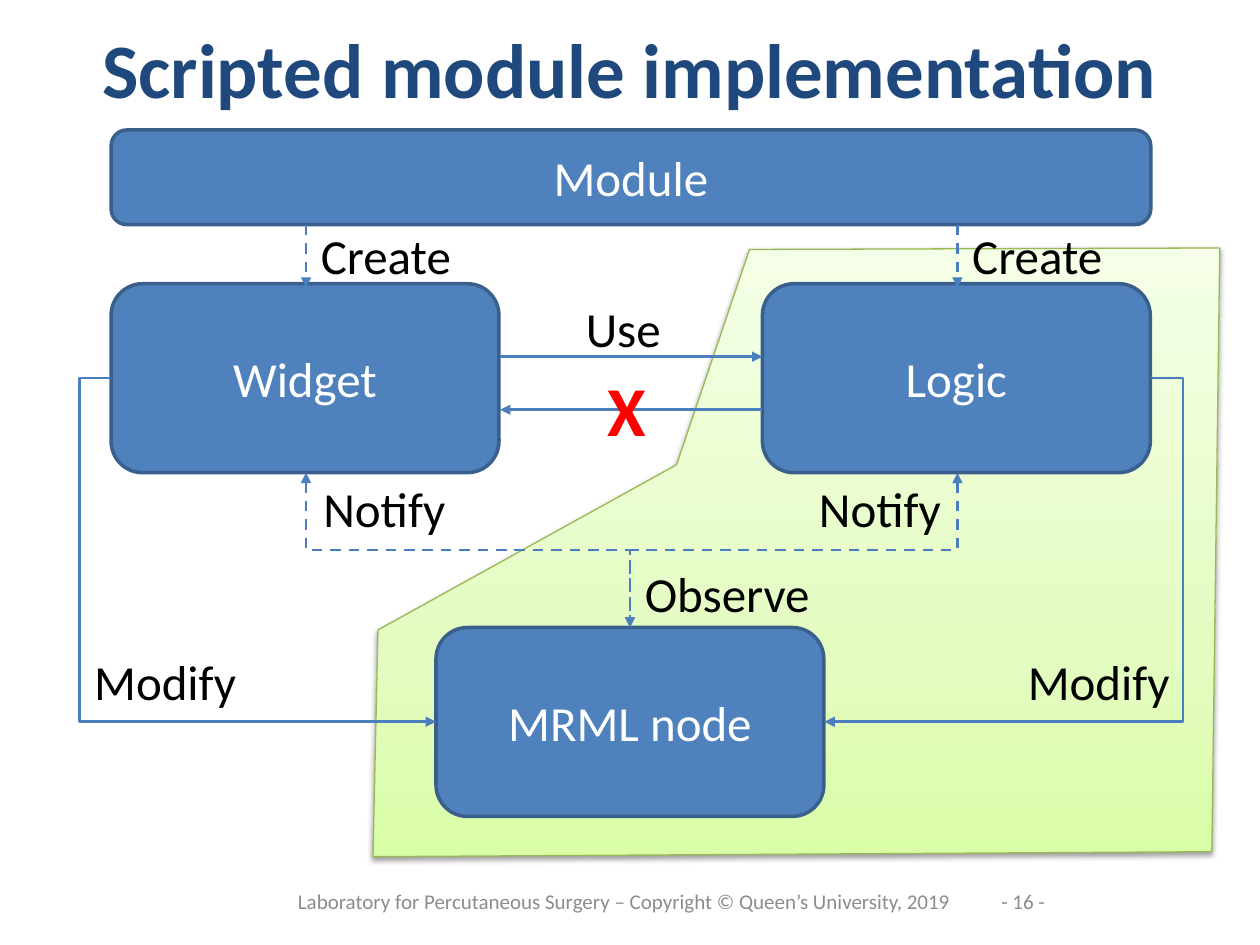
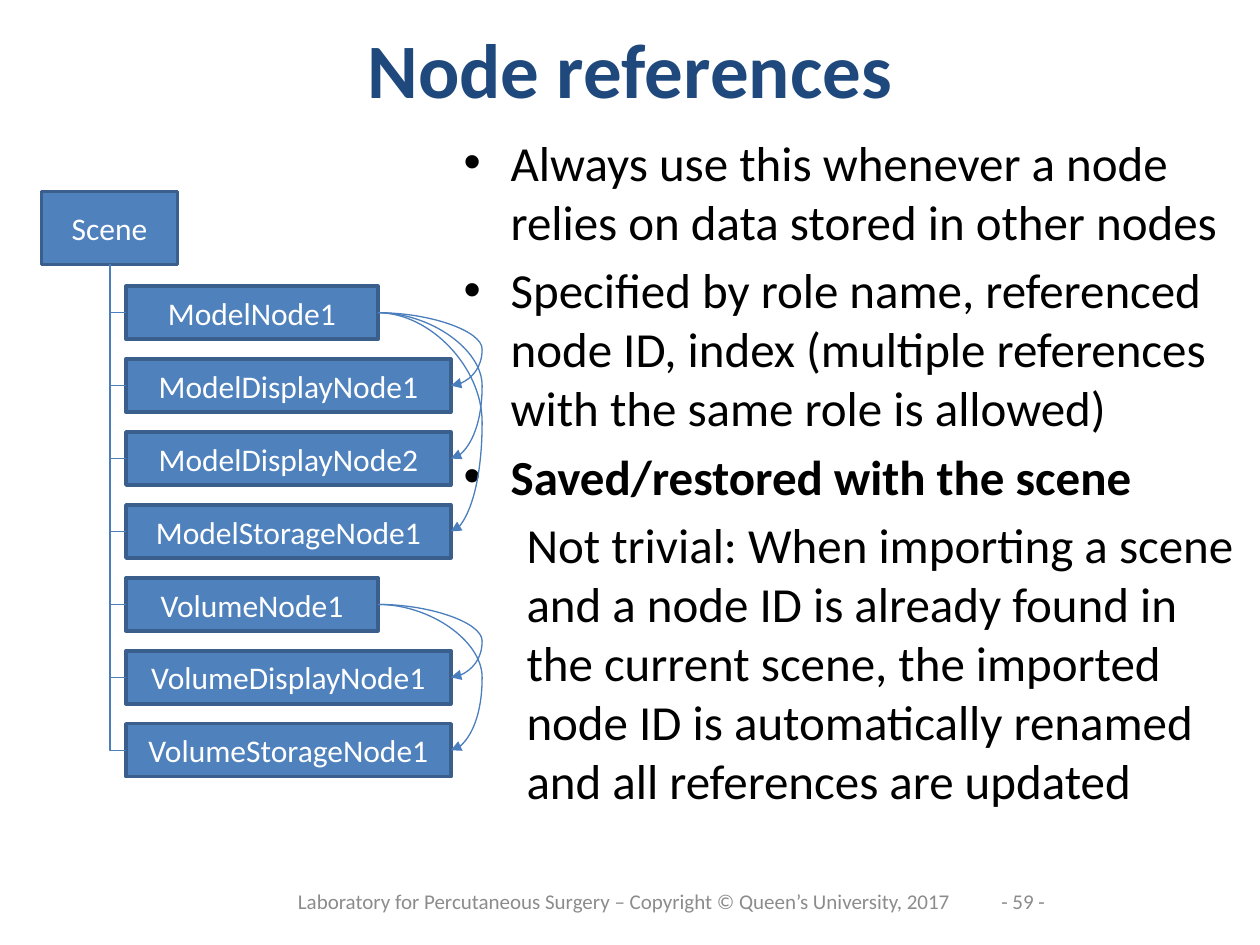
"""Build two slides on script modules and node references."""
from lxml import etree
from pptx import Presentation
from pptx.dml.color import RGBColor
from pptx.enum.dml import MSO_LINE
from pptx.enum.shapes import MSO_CONNECTOR, MSO_SHAPE
from pptx.enum.text import MSO_ANCHOR, MSO_AUTO_SIZE, PP_ALIGN
from pptx.oxml.ns import qn
from pptx.util import Cm, Pt

LEFT, MID, RIGHT = PP_ALIGN.LEFT, PP_ALIGN.CENTER, PP_ALIGN.RIGHT
TOP, CORE = MSO_ANCHOR.TOP, MSO_ANCHOR.MIDDLE
ROUND, RECT = MSO_SHAPE.ROUNDED_RECTANGLE, MSO_SHAPE.RECTANGLE
LINE, BENT, CURVE = MSO_CONNECTOR.STRAIGHT, MSO_CONNECTOR.ELBOW, MSO_CONNECTOR.CURVE
DASH, FIXED = MSO_LINE.DASH, MSO_AUTO_SIZE.NONE
TITLE_ONLY, TITLE_BODY = 5, 1

HUES = {
    "title": "1F497D", "text": "000000", "foot": "8C8C8C", "white": "FFFFFF",
    "box": "4F81BD", "edge": "3A5F8C", "link": "4B7EBC", "cross": "FF0000",
    "zone": "98B955", "low": "DAFDA7", "mild": "E4FCC2", "high": "F5FFE7",
}


def hue(name):
    return RGBColor.from_string(HUES[name])


def form(item, **vals):
    for name, val in vals.items():
        setattr(item, name, val)


def add(node, tag, **vals):
    return etree.SubElement(node, qn(tag), {key: str(val) for key, val in vals.items()})


class Deck:
    """Holds the shared style and the current slide."""

    font = "Calibri"

    def __init__(self):
        self.pres = Presentation()
        form(self.pres, slide_width=Cm(25.4), slide_height=Cm(19.05))

    def start(self, layout, title, year, page):
        self.slide = self.pres.slides.add_slide(self.pres.slide_layouts[layout])
        self.shapes = self.slide.shapes
        head = self.shapes.title
        self.place(head, 1.27, 0, 22.86, 2.74)
        self.fill(head, title, 44, "title", MID, CORE, True)
        foot = f"Laboratory for Percutaneous Surgery – Copyright © Queen’s University, {year}"
        for text, left, wide in ((foot, 5.28, 14.61), (f"- {page} -", 19.89, 1.47)):
            box = self.label(text, left, 17.65, wide, 1.02, 12, "foot", MID, CORE)
            form(box.text_frame, margin_left=0, margin_right=0)

    def place(self, shape, left, top, wide, high):
        form(shape, left=Cm(left), top=Cm(top), width=Cm(wide), height=Cm(high))

    def style(self, para, text, size, color, bold=False):
        run = para.add_run()
        run.text = text
        form(run.font, name=self.font, size=Pt(size), bold=bold)
        run.font.color.rgb = hue(color)

    def fill(self, shape, text, size, color, align, anchor, bold=False):
        frame = shape.text_frame
        form(frame, word_wrap=True, auto_size=FIXED, vertical_anchor=anchor)
        para = frame.paragraphs[0]
        para.alignment = align
        self.style(para, text, size, color, bold)

    def label(self, text, left, top, wide=4.52, high=1.7, size=28, color="text",
              align=LEFT, anchor=TOP, bold=False):
        box = self.shapes.add_textbox(Cm(left), Cm(top), Cm(wide), Cm(high))
        self.fill(box, text, size, color, align, anchor, bold)
        return box

    def box(self, kind, text, left, top, wide, high, size):
        box = self.shapes.add_shape(kind, Cm(left), Cm(top), Cm(wide), Cm(high))
        box.shadow.inherit = False
        box.fill.solid()
        box.fill.fore_color.rgb = hue("box")
        box.line.color.rgb = hue("edge")
        box.line.width = Pt(2)
        self.fill(box, text, size, "white", MID, CORE)

    def link(self, kind, start, end, width=1.5, dash=None, ends=("tail",),
             bend=None, turn=False, preset=None):
        (x1, y1), (x2, y2) = start, end
        if turn:
            cx, cy = (x1 + x2) / 2, (y1 + y2) / 2
            dx, dy = x1 - cx, y1 - cy
            x1, y1, x2, y2 = cx + dy, cy - dx, cx - dy, cy + dx
        link = self.shapes.add_connector(kind, Cm(x1), Cm(y1), Cm(x2), Cm(y2))
        if turn:
            link.rotation = 90
        form(link.line, width=Pt(width), dash_style=dash)
        link.line.color.rgb = hue("link")
        props = link._element.spPr
        shape = props.find(qn("a:prstGeom"))
        if preset:
            shape.set("prst", preset)
        if bend is not None:
            add(shape.find(qn("a:avLst")), "a:gd", name="adj1",
                fmla=f"val {round(bend * 1000)}")
        for side in ends:
            add(props.find(qn("a:ln")), f"a:{side}End", type="triangle")
        add(props, "a:effectLst")

    def zone(self, spots):
        spots = [(Cm(x), Cm(y)) for x, y in spots]
        pen = self.shapes.build_freeform(*spots[0], scale=1.0)
        pen.add_line_segments(spots[1:], close=True)
        zone = pen.convert_to_shape()
        zone.line.color.rgb = hue("zone")
        zone.line.width = Pt(0.75)
        zone.shadow.inherit = False
        props = zone._element.spPr
        fade = add(props, "a:gradFill", rotWithShape=1)
        stops = add(fade, "a:gsLst")
        for part, name in ((0, "low"), (35, "mild"), (100, "high")):
            add(add(stops, "a:gs", pos=part * 1000), "a:srgbClr", val=HUES[name])
        add(fade, "a:lin", ang=270 * 60000, scaled=1)
        props.find(qn("a:custGeom")).addnext(fade)
        shade = add(props.find(qn("a:effectLst")), "a:outerShdw", blurRad=Pt(3.1),
                    dist=Pt(1.6), dir=90 * 60000, rotWithShape=0)
        add(add(shade, "a:srgbClr", val=HUES["text"]), "a:alpha", val=38000)

    def list(self, items, left, top, wide, high):
        body = self.slide.placeholders[1]
        self.place(body, left, top, wide, high)
        frame = body.text_frame
        form(frame, word_wrap=True, auto_size=FIXED, vertical_anchor=TOP)
        for spot, (text, level, bold) in enumerate(items):
            para = frame.add_paragraph() if spot else frame.paragraphs[0]
            props = para._p.get_or_add_pPr()
            props.set("marL", str(Cm(1.27 if level else 0.95)))
            props.set("indent", str(Cm(0 if level else -0.95)))
            if level:
                add(props, "a:buNone")
            else:
                add(props, "a:buFont", typeface="Arial")
                add(props, "a:buChar", char="•")
            form(para, level=level, space_before=Pt(5.6 if spot else 0))
            self.style(para, text, 28, "text", bold)


def script(deck):
    deck.start(TITLE_ONLY, "Scripted module implementation", 2019, 16)
    deck.zone([(15.11, 5.03), (13.64, 9.37), (7.62, 12.7), (7.52, 17.27),
               (24.43, 17.17), (24.59, 5)])
    for text, left, top, wide, high in (
            ("MRML node", 8.79, 12.65, 7.82, 3.81), ("Widget", 2.24, 5.72, 7.82, 3.81),
            ("Logic", 15.37, 5.72, 7.82, 3.81), ("Module", 2.24, 2.62, 20.96, 1.91)):
        deck.box(ROUND, text, left, top, wide, high, 28)
    for start, end in (((2.24, 7.62), (8.79, 14.55)), ((23.21, 7.62), (16.62, 14.55))):
        deck.link(BENT, start, end, bend=-9.7)
    for x in (6.17, 19.3):
        deck.link(BENT, (x, 9.53), (12.7, 12.65), dash=DASH, ends=("head", "tail"),
                  bend=50, turn=True)
        deck.link(LINE, (x, 4.53), (x, 5.8), dash=DASH)
        deck.label("Create", x + 0.05, 4.43, 3.86)
    deck.link(LINE, (10.08, 7.19), (15.37, 7.19))
    deck.link(LINE, (15.37, 8.26), (10.08, 8.26))
    deck.label("Modify", 1.07, 13, align=MID)
    deck.label("Modify", 19.84, 13, 3.99, align=RIGHT)
    deck.label("Notify", 6.27, 9.53)
    deck.label("Notify", 16.26, 9.53)
    deck.label("Observe", 12.4, 11.23, align=MID)
    deck.label("Use", 11.56, 5.89)
    deck.label("X", 11.99, 7.26, size=40, color="cross", bold=True)


def nodes(deck):
    deck.start(TITLE_BODY, "Node references", 2017, 59)
    deck.list([
        ("Always use this whenever a node relies on data stored in other nodes", 0, False),
        ("Specified by role name, referenced node ID, index (multiple references "
         "with the same role is allowed)", 0, False),
        ("Saved/restored with the scene", 0, True),
        ("Not trivial: When importing a scene and a node ID is already found in the "
         "current scene, the imported node ID is automatically renamed and all "
         "references are updated", 1, False),
    ], 9.09, 2.54, 16.31, 6.3)
    deck.box(RECT, "Scene", 0.84, 3.86, 2.74, 1.47, 18)
    groups = (
        ("ModelNode1", "ModelDisplayNode1", "ModelDisplayNode2", "ModelStorageNode1"),
        ("VolumeNode1", "VolumeDisplayNode1", "VolumeStorageNode1"),
    )
    top, high, step = 5.77, 1.07, 1.47
    for group in groups:
        owner = top + high / 2
        for name in group:
            first = name == group[0]
            y = top + high / 2
            deck.box(RECT, name, 2.54, top, 5.08 if first else 6.55, high, 18)
            deck.link(BENT, (2.22, 5.33), (2.54, y), 0.75, ends=(), turn=True,
                      preset="bentConnector2")
            if not first:
                deck.link(CURVE, (7.62, owner), (9.09, y), 0.75, bend=142.9)
            top += step


def main():
    deck = Deck()
    script(deck)
    nodes(deck)
    deck.pres.save("out.pptx")


if __name__ == "__main__":
    main()
